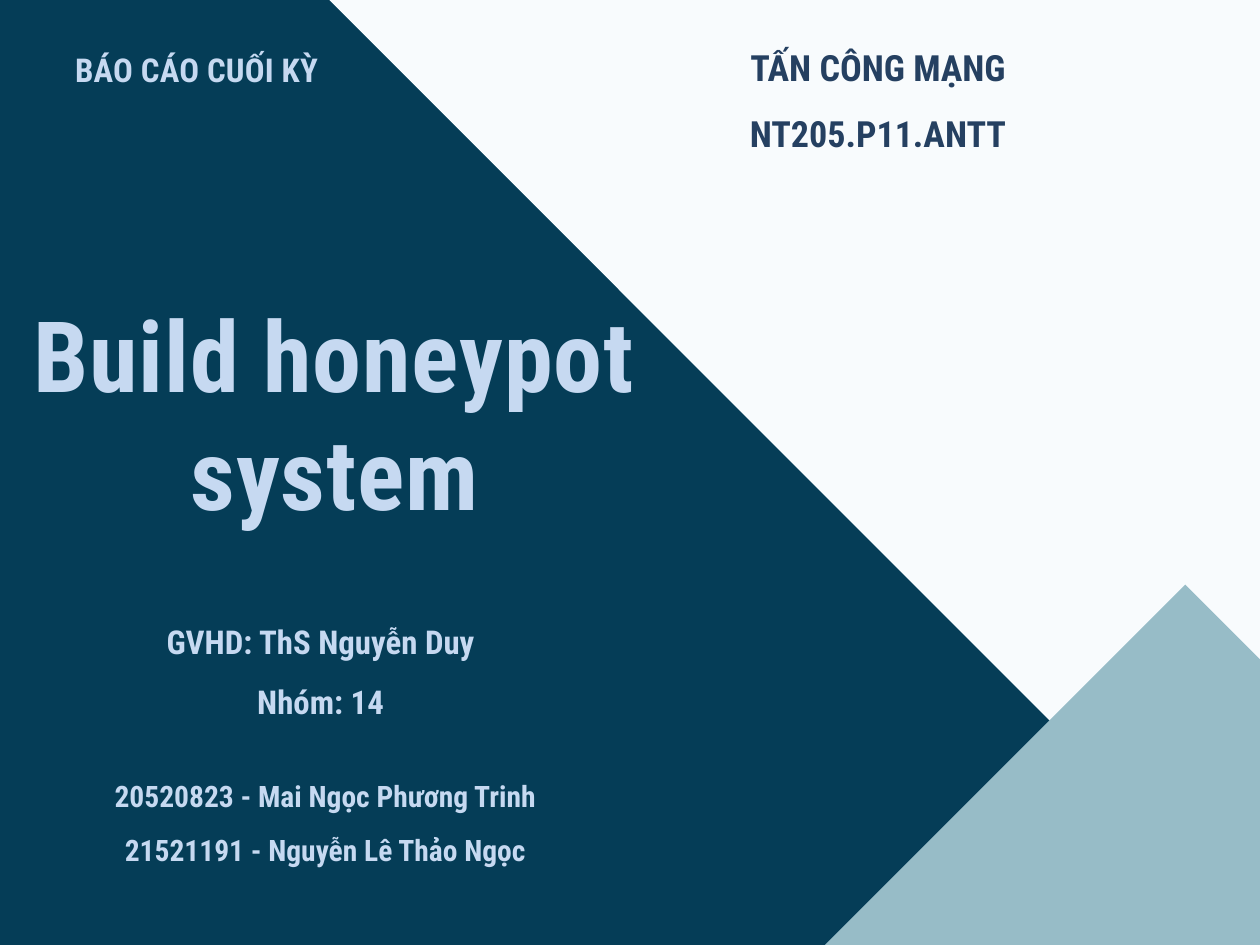
from dataclasses import dataclass

from pptx import Presentation
from pptx.dml.color import RGBColor
from pptx.enum.text import MSO_ANCHOR, MSO_AUTO_SIZE, PP_ALIGN
from pptx.util import Emu, Pt

CENTER = PP_ALIGN.CENTER
TOP = MSO_ANCHOR.TOP
GROW = MSO_AUTO_SIZE.SHAPE_TO_FIT_TEXT
TITLE_ONLY = 5
PX = 9144


@dataclass(frozen=True)
class Theme:
    font: str = "Roboto Condensed"
    navy: RGBColor = RGBColor(0x05, 0x3D, 0x57)
    white: RGBColor = RGBColor(0xF8, 0xFB, 0xFD)
    teal: RGBColor = RGBColor(0x97, 0xBC, 0xC7)
    ink: RGBColor = RGBColor(0x25, 0x40, 0x61)
    pale: RGBColor = RGBColor(0xC6, 0xD9, 0xF1)
    title: int = 60
    course: int = 22
    body: int = 20
    members: int = 18


THEME = Theme()


def px(length):
    return Emu(length * PX)


def add_diagonal_panel(slide, box, color):
    left, top, width, height = box
    outline = slide.shapes.build_freeform(left, top, scale=PX)
    outline.add_line_segments([
        (left + width, top),
        (left + width, top + height),
        (left, top + height),
    ])
    panel = outline.convert_to_shape()
    panel.rotation = 315
    panel.shadow.inherit = False
    panel.fill.solid()
    panel.fill.fore_color.rgb = color
    panel.line.fill.background()


def write_lines(holder, box, lines, size, color, leading, tracking=0):
    edges = dict(zip(("left", "top", "width", "height"), map(px, box)))
    for name, value in edges.items():
        setattr(holder, name, value)
    frame = holder.text_frame
    frame_format = {
        "word_wrap": True, "auto_size": GROW, "vertical_anchor": TOP,
        "margin_left": 0, "margin_top": 0, "margin_right": 0, "margin_bottom": 0,
    }
    for name, value in frame_format.items():
        setattr(frame, name, value)
    frame.text = "\n".join(lines)
    font_format = {"name": THEME.font, "size": Pt(size), "bold": True}
    paragraph_format = {
        "alignment": CENTER, "line_spacing": Pt(leading),
        "space_before": Pt(0), "space_after": Pt(0),
    }
    for paragraph in frame.paragraphs:
        for name, value in paragraph_format.items():
            setattr(paragraph, name, value)
        for run in paragraph.runs:
            for name, value in font_format.items():
                setattr(run.font, name, value)
            run.font.color.rgb = color
            if tracking:
                run._r.get_or_add_rPr().set("spc", str(tracking))


def add_text(slide, box, *wording, **tracking):
    holder = slide.shapes.add_textbox(*map(px, box))
    write_lines(holder, box, *wording, **tracking)


def build_cover(deck):
    slide = deck.slides.add_slide(deck.slide_layouts[TITLE_ONLY])
    slide.background.fill.solid()
    slide.background.fill.fore_color.rgb = THEME.navy

    add_diagonal_panel(slide, (566, -396, 587, 1123), THEME.white)
    add_text(slide, (275, 20, 937, 106), ["TẤN CÔNG MẠNG", "NT205.P11.ANTT"],
             THEME.course, THEME.ink, 39.9)
    write_lines(slide.shapes.title, (0, 249, 567, 199), ["Build honeypot system"],
                THEME.title, THEME.pale, 72, tracking=60)
    add_text(slide, (42, 510, 459, 95), ["GVHD: ThS Nguyễn Duy", "Nhóm: 14"],
             THEME.body, THEME.pale, 36)
    add_diagonal_panel(slide, (726, 610, 472, 354), THEME.teal)
    add_text(slide, (27, 13, 279, 55), ["BÁO CÁO CUỐI KỲ"],
             THEME.body, THEME.pale, 44.8, tracking=10)
    add_text(slide, (46, 644, 459, 86),
             ["20520823 - Mai Ngọc Phương Trinh", "21521191 - Nguyễn Lê Thảo Ngọc"],
             THEME.members, THEME.pale, 32.4)


def main():
    deck = Presentation()
    deck.slide_width, deck.slide_height = px(1067), px(800)
    build_cover(deck)
    deck.save("out.pptx")


if __name__ == "__main__":
    main()
